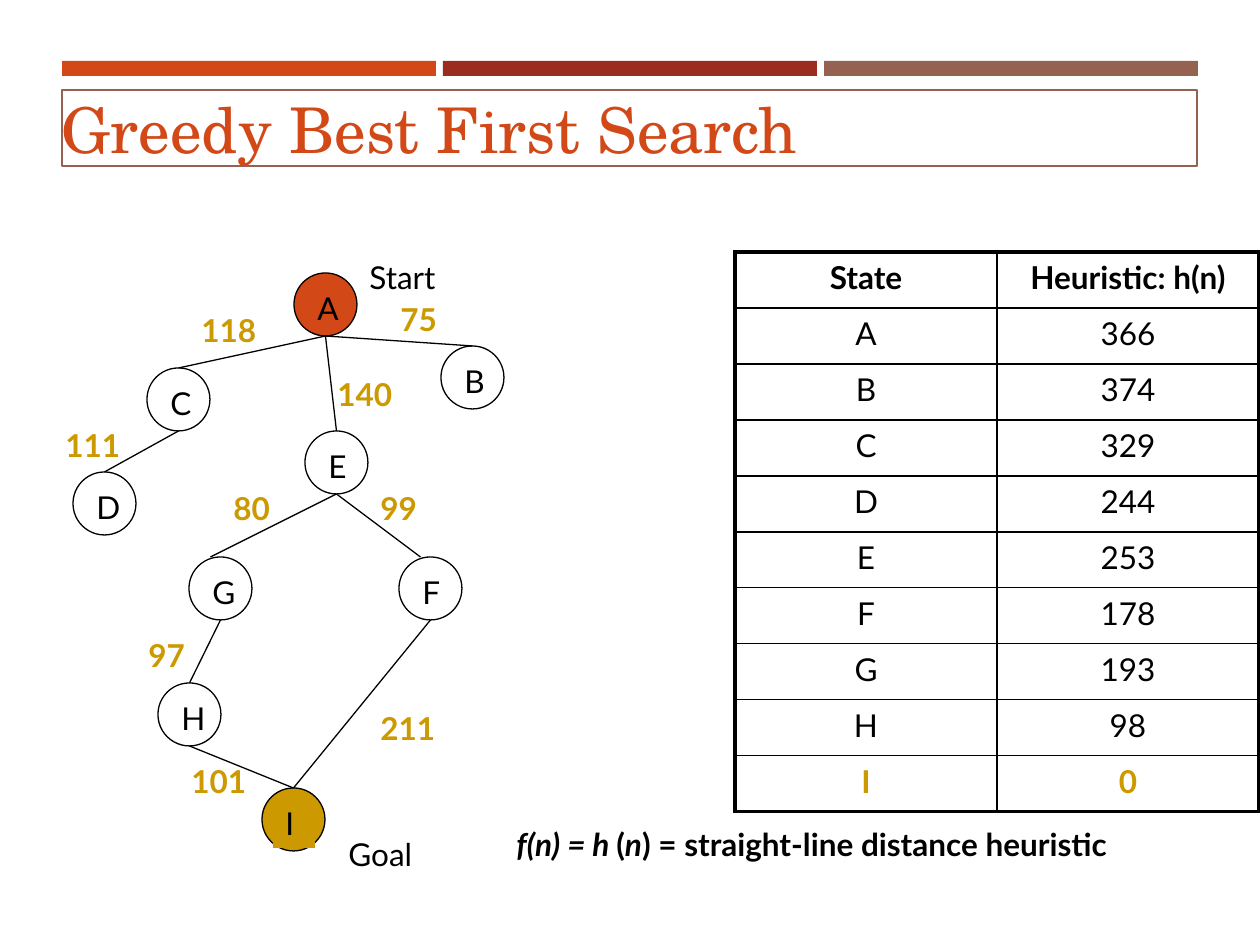
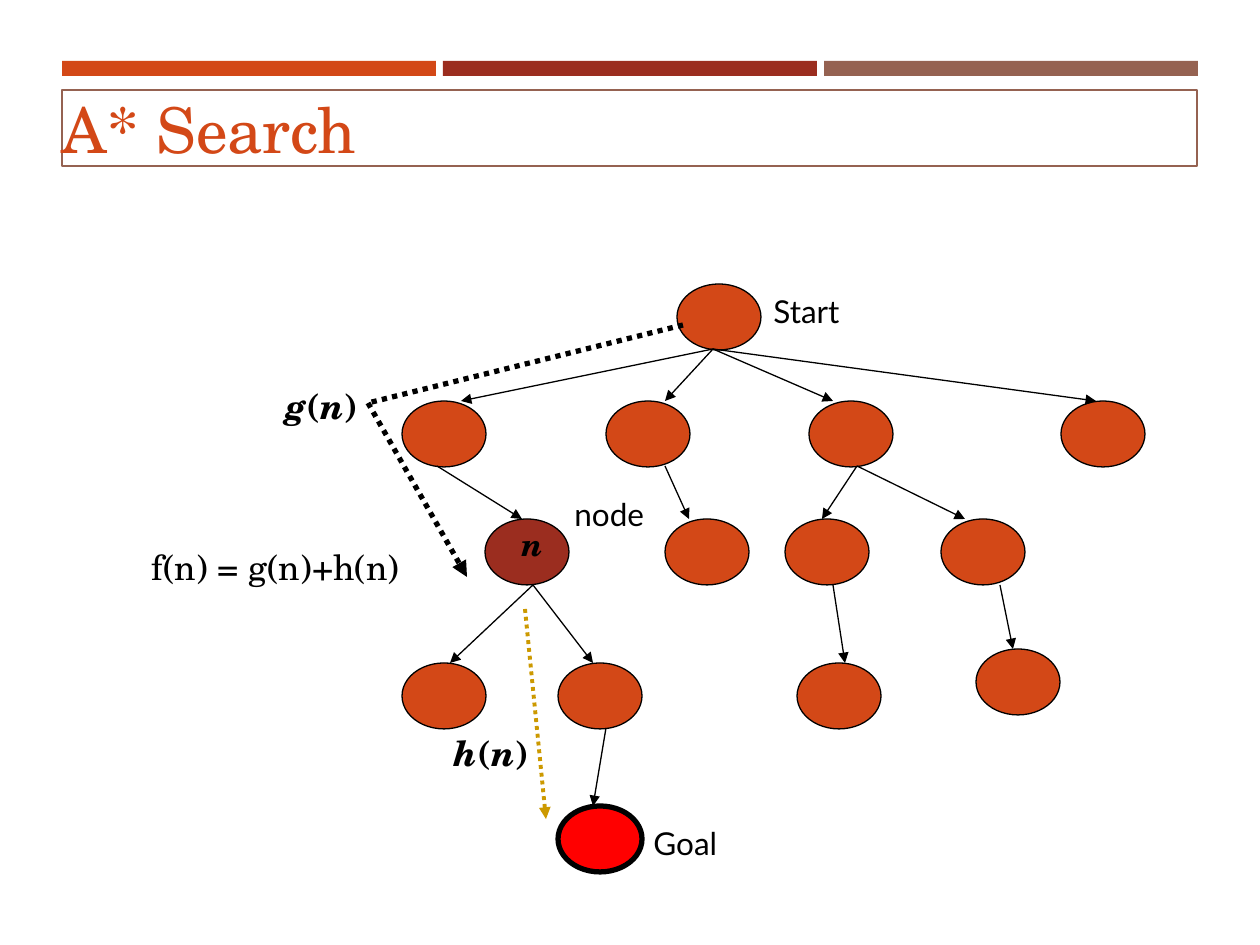
"""Build two slides on greedy best first search and A* search."""
from lxml import etree
from pptx import Presentation
from pptx.dml.color import RGBColor
from pptx.enum.dml import MSO_LINE
from pptx.enum.shapes import MSO_CONNECTOR, MSO_SHAPE
from pptx.enum.text import MSO_ANCHOR, PP_ALIGN
from pptx.oxml.ns import qn
from pptx.util import Emu, Pt

RECT, OVAL, STRAIGHT = MSO_SHAPE.RECTANGLE, MSO_SHAPE.OVAL, MSO_CONNECTOR.STRAIGHT
DOTTED, MIDDLE = MSO_LINE.ROUND_DOT, MSO_ANCHOR.MIDDLE
LEFT, CENTER = PP_ALIGN.LEFT, PP_ALIGN.CENTER
SANS, SERIF = "Lato", "TeX Gyre Schola"
COLORS = {"orange": "D34817", "brick": "9B2D1F", "brown": "956251",
          "gold": "CC9900", "red": "FF0000", "black": "000000"}
BARS = ["orange", "brick", "brown"]

HEURISTICS = [("State", "Heuristic: h(n)"), ("A", "366"), ("B", "374"), ("C", "329"),
              ("D", "244"), ("E", "253"), ("F", "178"), ("G", "193"), ("H", "98"), ("I", "0")]
TABLE_X, TABLE_Y, COL_W, ROW_H = 735, 252, 262, 56

CITY = 63
CITIES = {"A": (294, 273), "B": (441, 346), "C": (147, 368), "D": (73, 472), "E": (305, 431),
          "F": (399, 557), "G": (189, 557), "H": (158, 683), "I": (262, 788)}
CITY_FILLS = {"A": "orange", "I": "gold"}
# parent, child, shift of the end point, distance, place of the distance
ROADS = [("A", "B", 0, "75", (388, 294)), ("A", "C", 0, "118", (189, 305)),
         ("A", "E", 0, "140", (325, 369)), ("C", "D", 0, "111", (53, 420)),
         ("E", "F", -10, "99", (368, 483)), ("E", "G", -10, "80", (221, 483)),
         ("G", "H", 0, "97", (136, 630)), ("H", "I", 0, "101", (179, 756)),
         ("F", "I", 0, "211", (368, 703))]
GREEDY_LABELS = [("Start", 357, 252, 168), ("Goal", 336, 829, 168)]
GREEDY_FORMULA = "_f(n) = h _(_n_) = straight-line distance heuristic"

NODE_W, NODE_H = 84, 66
NODE_ROWS = [(284, [677]), (401, [402, 606, 809, 1061]), (519, [665, 785, 941]),
             (663, [402, 558, 797]), (649, [976])]
CURRENT, GOAL = (485, 519), (558, 806)
ARROWS = {(713, 349): [(461, 401), (665, 401), (833, 401), (1096, 401)],
          (437, 466): [(522, 519)],
          (665, 466): [(689, 519)],
          (857, 466): [(822, 519), (965, 519)],
          (533, 585): [(450, 663), (593, 663)],
          (833, 585): [(845, 663)],
          (1000, 585): [(1013, 649)],
          (606, 728): [(593, 806)]}
COST_PATH = [(683, 325), (368, 403), (467, 577)]
ESTIMATE_PATH = [(525, 609), (546, 819)]
STAR_LABELS = [("Start", 761, 286, 168), ("Goal", 641, 818, 168), ("node", 562, 489, 168)]
STAR_FORMULAS = [("_g_(_n_)", 273, 378, 126, True), ("_h_(_n_)", 441, 725, 126, True),
                 ("f(n) = g(n)+h(n)", 139, 539, 368, False)]


def px(n):
    return Emu(round(n * 914400 / 126))


def rgb(name):
    return RGBColor.from_string(COLORS[name])


def write(tf, text, size=18, font=SANS, color="black", bold=False, align=LEFT):
    """Fill a text frame; parts between underscores are italic."""
    tf.word_wrap = True
    p = tf.paragraphs[0]
    p.alignment = align
    for i, part in enumerate(text.split("_")):
        if part:
            r = p.add_run()
            r.text = part
            r.font.size, r.font.name = Pt(size), font
            r.font.bold, r.font.italic = bold, i % 2 == 1
            r.font.color.rgb = rgb(color)


def label(s, text, x, y, w, h=50, fill=None, **fmt):
    sp = s.shapes.add_textbox(px(x), px(y), px(w), px(h))
    if fill:
        sp.fill.solid()
        sp.fill.fore_color.rgb = rgb(fill)
    write(sp.text_frame, text, **fmt)


def shape(s, kind, x, y, w, h, fill=None, line=None, width=0.75):
    sp = s.shapes.add_shape(kind, px(x), px(y), px(w), px(h))
    sp.shadow.inherit = False
    for part, color in ((sp.fill, fill), (sp.line.fill, line)):
        if color:
            part.solid()
            part.fore_color.rgb = rgb(color)
        else:
            part.background()
    if line:
        sp.line.width = Pt(width)
    return sp


def connect(s, start, end, color="black", width=0.75, dash=None, arrow=False):
    c = s.shapes.add_connector(STRAIGHT, *map(px, start + end))
    c.line.color.rgb = rgb(color)
    c.line.width = Pt(width)
    if dash:
        c.line.dash_style = dash
    spPr = c._element.spPr
    if arrow:
        etree.SubElement(spPr.find(qn("a:ln")), qn("a:tailEnd"), type="triangle")
    etree.SubElement(spPr, qn("a:effectLst"))


def add_slide(prs, title):
    s = prs.slides.add_slide(prs.slide_layouts[6])
    for i, color in enumerate(BARS):
        shape(s, RECT, 62 + 381 * i, 61, 374, 15, color)
    tf = shape(s, RECT, 62, 90, 1135, 76, line="brown", width=1).text_frame
    tf.margin_left = tf.margin_right = tf.margin_top = tf.margin_bottom = 0
    tf.vertical_anchor = MIDDLE
    write(tf, title, size=36, font=SERIF, color="orange")
    return s


def add_borders(cell, thick_sides):
    tcPr = cell._tc.get_or_add_tcPr()
    for i, side in enumerate("LRTB"):
        width = Pt(2.25 if side in thick_sides else 1)
        ln = etree.Element(qn(f"a:ln{side}"), w=str(width))
        fill = etree.SubElement(ln, qn("a:solidFill"))
        etree.SubElement(fill, qn("a:srgbClr"), val=COLORS["black"])
        tcPr.insert(i, ln)


def add_heuristic_table(s):
    last = len(HEURISTICS) - 1
    table = s.shapes.add_table(last + 1, 2, px(TABLE_X), px(TABLE_Y),
                               px(2 * COL_W), px((last + 1) * ROW_H)).table
    table.first_row = table.horz_banding = False
    for i, row in enumerate(HEURISTICS):
        table.rows[i].height = px(ROW_H)
        for j, text in enumerate(row):
            cell = table.cell(i, j)
            cell.fill.background()
            write(cell.text_frame, text, bold=i in (0, last), align=CENTER,
                  color="gold" if i == last else "black")
            add_borders(cell, "LR"[j] + {0: "T", last: "B"}.get(i, ""))


def add_greedy_slide(prs):
    s = add_slide(prs, "Greedy Best First Search")
    add_heuristic_table(s)
    label(s, GREEDY_FORMULA, 504, 819, 756, bold=True)
    for name, (x, y) in CITIES.items():
        shape(s, OVAL, x, y, CITY, CITY, CITY_FILLS.get(name), "black")
        label(s, name, x + 11, y + 10, 42, fill="gold" if name == "I" else None)
    for parent, child, shift, distance, (x, y) in ROADS:
        (x1, y1), (x2, y2) = CITIES[parent], CITIES[child]
        connect(s, (x1 + CITY / 2, y1 + CITY), (x2 + CITY / 2 + shift, y2))
        label(s, distance, x, y, 105, color="gold", bold=True)
    for text, x, y, w in GREEDY_LABELS:
        label(s, text, x, y, w)


def add_star_slide(prs):
    s = add_slide(prs, "A* Search")
    for y, lefts in NODE_ROWS:
        for x in lefts:
            shape(s, OVAL, x, y, NODE_W, NODE_H, "orange", "black")
    shape(s, OVAL, *CURRENT, NODE_W, NODE_H, "brick", "black")
    label(s, "_n_", CURRENT[0] + 24, CURRENT[1], 59, font=SERIF, bold=True)
    shape(s, OVAL, *GOAL, NODE_W, NODE_H, "red", "black", 3)
    for start, ends in ARROWS.items():
        for end in ends:
            connect(s, start, end, arrow=True)
    start, bend, end = COST_PATH
    connect(s, start, bend, width=3, dash=DOTTED)
    connect(s, bend, end, width=3, dash=DOTTED, arrow=True)
    connect(s, *ESTIMATE_PATH, color="gold", width=2.25, dash=DOTTED, arrow=True)
    for text, x, y, w, bold in STAR_FORMULAS:
        label(s, text, x, y, w, 55, size=20, font=SERIF, bold=bold)
    for text, x, y, w in STAR_LABELS:
        label(s, text, x, y, w)


def main():
    prs = Presentation()
    prs.slide_width, prs.slide_height = px(1260), px(945)
    add_greedy_slide(prs)
    add_star_slide(prs)
    prs.save("out.pptx")


if __name__ == "__main__":
    main()
